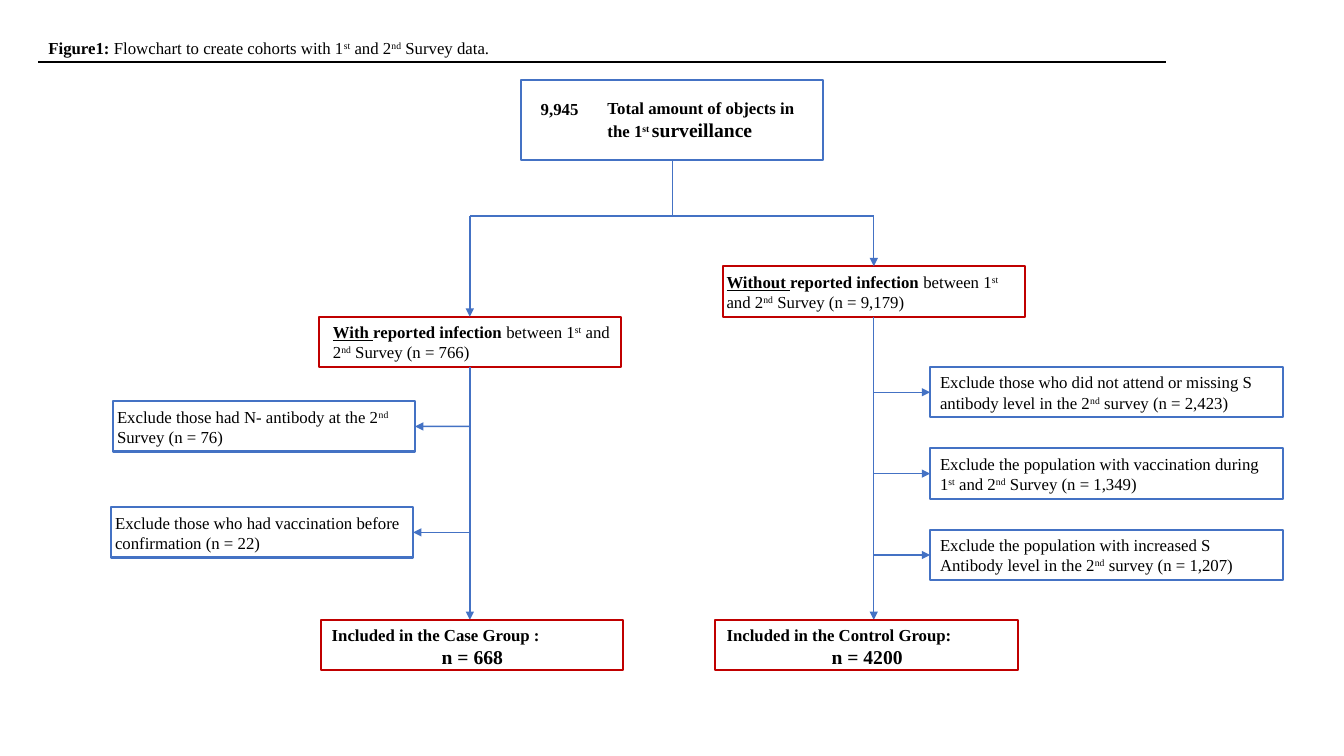
from pptx import Presentation
from pptx import util as u
from pptx.dml.color import RGBColor
from pptx.enum import shapes, text
from pptx.oxml.ns import qn
from lxml import etree

BLUE = RGBColor(0x44, 0x72, 0xC4)
RED = RGBColor(0xC0, 0x00, 0x00)
BLACK = RGBColor(0, 0, 0)
FONT = "Times New Roman"
LEFT, CENTER, RIGHT = text.PP_ALIGN.LEFT, text.PP_ALIGN.CENTER, text.PP_ALIGN.RIGHT

BOX_W, BOX_H = 7.62, 1.27
CASE_X, CONTROL_X, TRUNK_X = 11.84, 22.02, 16.94
BRANCH_Y, GROUP_Y = 5.44, 15.62
TOP, SIDE_LEFT, BOTTOM, SIDE_RIGHT = range(4)


def write(paragraph, *parts, size=12, bold=None, align=LEFT):
    """Each part is (text, style letters b/u[, size]); ^ encloses superscripts."""
    paragraph.alignment = align
    paragraph.line_spacing = 1.0
    font = paragraph.font
    font.name, font.size, font.bold = FONT, u.Pt(size), bold
    font.color.rgb = BLACK
    for content, style, *own_size in parts:
        for index, piece in enumerate(content.split("^")):
            if not piece:
                continue
            run = paragraph.add_run()
            run.text = piece
            if bold is None:
                run.font.bold = "b" in style
            if "u" in style:
                run.font.underline = True
            if own_size:
                run.font.size = u.Pt(own_size[0])
            if index % 2:
                run.font._element.set("baseline", "30000")


def set_frame(shape, left=0.25, right=0.25):
    frame = shape.text_frame
    frame.word_wrap = True
    frame.auto_size = text.MSO_AUTO_SIZE.NONE
    frame.vertical_anchor = text.MSO_ANCHOR.TOP
    frame.margin_left, frame.margin_right = u.Cm(left), u.Cm(right)
    frame.margin_top = frame.margin_bottom = u.Cm(0.13)
    return frame


def add_box(slide, x, y, color, width=BOX_W, height=BOX_H):
    box = slide.shapes.add_shape(shapes.MSO_SHAPE.RECTANGLE,
                                 u.Cm(x), u.Cm(y), u.Cm(width), u.Cm(height))
    box.shadow.inherit = False
    box.fill.background()
    box.line.color.rgb = color
    box.line.width = u.Pt(1.5)
    return box


def add_step(slide, x, y, color, parts, insets, width=BOX_W):
    step = add_box(slide, x, y, color, width)
    write(set_frame(step, *insets).paragraphs[0], *parts)
    return step


def add_group(slide, x, label, count):
    frame = set_frame(add_box(slide, x, GROUP_Y, RED), 0.28, 0.25)
    write(frame.paragraphs[0], (label, ""), bold=True)
    write(frame.add_paragraph(), (count, ""), size=14, bold=True, align=CENTER)


def add_label(slide, x, y, width, height):
    return set_frame(slide.shapes.add_textbox(u.Cm(x), u.Cm(y), u.Cm(width), u.Cm(height)))


def add_line(slide, x1, y1, x2, y2, color=BLUE, width=1, arrow=False):
    line = slide.shapes.add_connector(shapes.MSO_CONNECTOR.STRAIGHT,
                                      u.Cm(x1), u.Cm(y1), u.Cm(x2), u.Cm(y2))
    line.line.color.rgb = color
    line.line.width = u.Pt(width)
    if arrow:
        etree.SubElement(line.line._get_or_add_ln(), qn("a:tailEnd"), type="triangle")
    etree.SubElement(line._element.spPr, qn("a:effectLst"))
    return line


def add_exclusions(slide, spine_x, side, insets, width, exclusions):
    for x, y, content in exclusions:
        box = add_step(slide, x, y, BLUE, [(content, "")], insets, width)
        middle = y + BOX_H / 2
        add_line(slide, spine_x, middle, x, middle, arrow=True).end_connect(box, side)


def main():
    prs = Presentation()
    prs.slide_width, prs.slide_height = u.Cm(33.87), u.Cm(19.05)
    slide = prs.slides.add_slide(prs.slide_layouts[5])

    # Caption and rule
    caption = slide.shapes.title
    caption.left, caption.top = u.Cm(0.97), u.Cm(0.81)
    caption.width, caption.height = u.Cm(24.89), u.Cm(0.76)
    write(set_frame(caption).paragraphs[0], ("Figure1: ", "b"),
          ("Flowchart to create cohorts with 1^st^ and 2^nd^ Survey data.", ""))
    add_line(slide, 0.97, 1.57, 29.39, 1.57, BLACK, 1.5)

    # Whole population
    total = add_box(slide, 13.13, 2.01, BLUE, height=2.03)
    write(add_label(slide, 13.13, 2.36, 1.7, 0.76).paragraphs[0],
          ("9,945", ""), bold=True, align=RIGHT)
    total_label = add_label(slide, 15.06, 2.34, 5.36, 1.37)
    write(total_label.paragraphs[0], ("Total amount of objects in", ""), bold=True)
    write(total_label.add_paragraph(), ("the 1^st ^", ""), ("surveillance", "", 14), bold=True)

    # Split into the two cohorts
    add_line(slide, TRUNK_X, 4.04, TRUNK_X, BRANCH_Y).begin_connect(total, BOTTOM)
    add_line(slide, CASE_X, BRANCH_Y, CONTROL_X, BRANCH_Y)
    cohorts = [
        (CASE_X, 7.98, "With ", "766", (0.36, 0.18)),
        (CONTROL_X, 6.71, "Without ", "9,179", (0.1, 0.43)),
    ]
    for x, y, lead, count, insets in cohorts:
        parts = [(lead, "bu"), ("reported infection ", "b"),
                 (f"between 1^st^ and 2^nd^ Survey (n = {count})", "")]
        cohort = add_step(slide, x - BOX_W / 2, y, RED, parts, insets)
        add_line(slide, x, BRANCH_Y, x, y, arrow=True).end_connect(cohort, TOP)
        add_line(slide, x, y + BOX_H, x, GROUP_Y, arrow=True).begin_connect(cohort, BOTTOM)

    # Exclusions on either side
    add_exclusions(slide, CASE_X, SIDE_RIGHT, (0.11, 0.25), BOX_W, [
        (2.84, 10.11, "Exclude those had N- antibody at the 2^nd^ Survey (n = 76)"),
        (2.79, 12.78, "Exclude those who had vaccination before confirmation (n = 22)"),
    ])
    control_exclusions = [
        "Exclude those who did not attend or missing S antibody level "
        "in the 2^nd^ survey (n = 2,423)",
        "Exclude the population with vaccination during "
        "1^st^ and 2^nd^ Survey (n = 1,349)",
        "Exclude the population with increased S Antibody level "
        "in the 2^nd^ survey (n = 1,207)",
    ]
    add_exclusions(slide, CONTROL_X, SIDE_LEFT, (0.25, 0.41), 8.89,
                   [(23.44, 9.25 + 2.05 * row, content)
                    for row, content in enumerate(control_exclusions)])

    # Final groups
    add_group(slide, 8.08, "Included in the Case Group :", "n = 668")
    add_group(slide, 18.03, "Included in the Control Group:", "n = 4200")

    prs.save("out.pptx")


if __name__ == "__main__":
    main()
